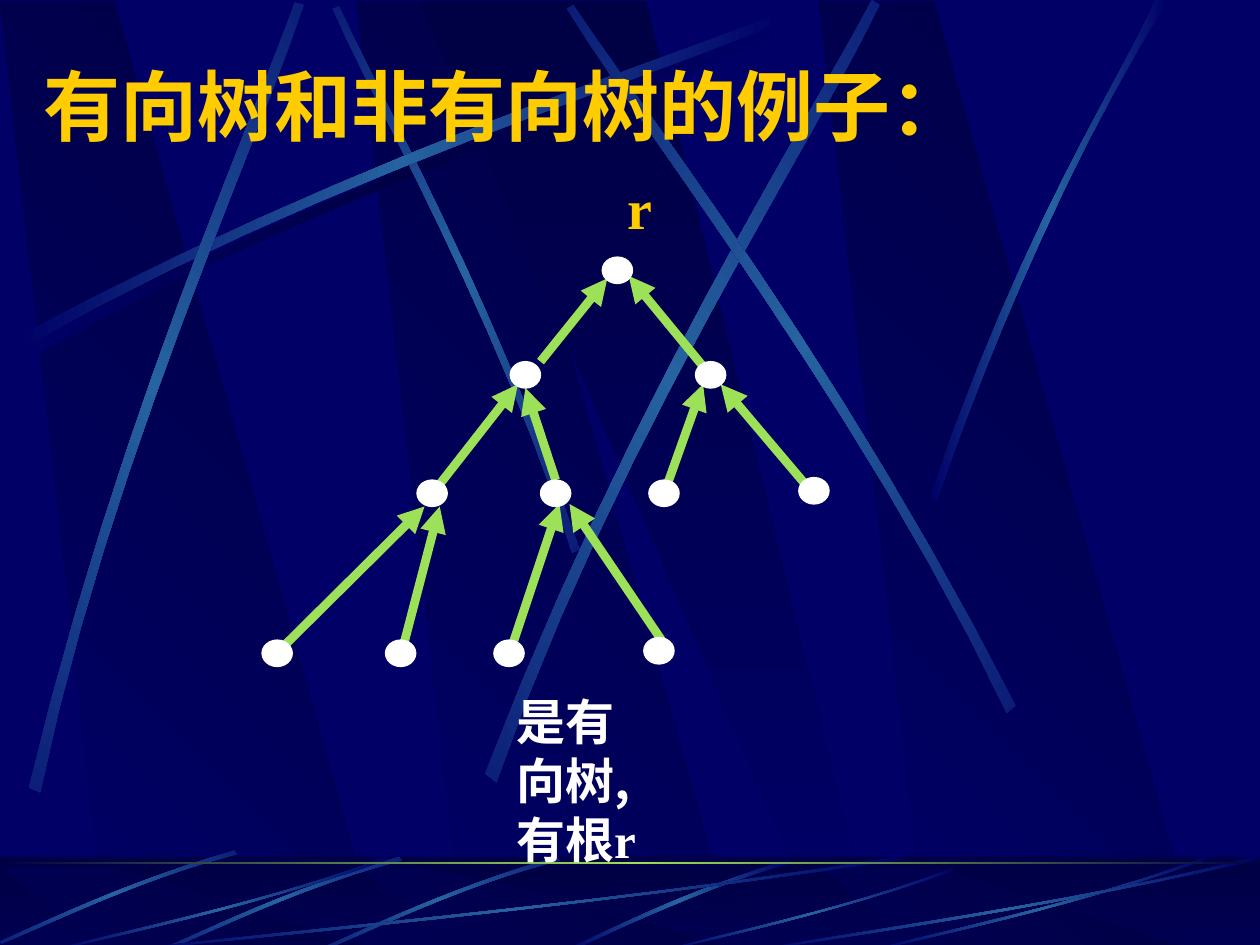
import math
from lxml import etree
from pptx import Presentation
from pptx import util as u
from pptx.dml.color import RGBColor
from pptx.enum import shapes, text
from pptx.oxml import ns

NAVY, DARK, BLUE = "000066", "000044", "2663A0"
GREEN, GOLD, WHITE = "9CE157", "FFCC00", "FFFFFF"
SERIF, SANS = "Times New Roman", "Noto Sans CJK SC"


def rgb(value):
    return RGBColor.from_string(value)


def sub(parent, tag, **attrs):
    return etree.SubElement(parent, ns.qn(tag), attrs)


def rotate(point, degrees):
    x, y = point
    c, s = math.cos(math.radians(degrees)), math.sin(math.radians(degrees))
    return x * c - y * s, x * s + y * c


def bezier(p0, p1, p2, p3, steps=12):
    """Points along a cubic curve, both ends included."""
    points = []
    for i in range(steps + 1):
        t = i / steps
        w = (1 - t) ** 3, 3 * t * (1 - t) ** 2, 3 * t * t * (1 - t), t ** 3
        points.append(tuple(sum(k * p[axis] for k, p in zip(w, (p0, p1, p2, p3)))
                            for axis in (0, 1)))
    return points


class Painter:
    """Holds the text style and the slide being drawn."""

    style = {"bold": True, "name": SERIF}

    def __init__(self, slide):
        self.slide = slide

    def gradient(self, s, colors, angle):
        """Evenly spaced linear gradient, angle clockwise."""
        s.fill.background()
        old = s._element.spPr.find(ns.qn("a:noFill"))
        grad = etree.Element(ns.qn("a:gradFill"), rotWithShape="1")
        stops = sub(grad, "a:gsLst")
        for i, color in enumerate(colors):
            stop = sub(stops, "a:gs", pos=str(100000 * i // (len(colors) - 1)))
            sub(stop, "a:srgbClr", val=color)
        sub(grad, "a:lin", ang=str(angle * 60000), scaled="0")
        old.getparent().replace(old, grad)

    def shape(self, kind, x, y, w, h, color=None, line=None):
        s = self.slide.shapes.add_shape(kind, *map(u.Inches, (x, y, w, h)))
        s.shadow.inherit = False
        if color:
            s.fill.solid()
            s.fill.fore_color.rgb = rgb(color)
        if line:
            s.line.color.rgb = rgb(line)
            s.line.width = u.Pt(0.75)
        else:
            s.line.fill.background()
        return s

    def bar(self, y, h, colors, angle):
        s = self.shape(shapes.MSO_SHAPE.RECTANGLE, 0, y, 10, h)
        self.gradient(s, colors, angle)

    def outline(self, points, colors, angle, turn=0):
        """Closed outline whose gradient axis is turned clockwise by turn."""
        flat = [rotate(p, -turn) for p in points]
        xy = [(u.Inches(x), u.Inches(y)) for x, y in flat]
        fb = self.slide.shapes.build_freeform(*xy[0])
        fb.add_line_segments(xy[1:], close=True)
        s = fb.convert_to_shape()
        if turn:
            xs, ys = zip(*flat)
            cx, cy = rotate(((min(xs) + max(xs)) / 2, (min(ys) + max(ys)) / 2), turn)
            s.left = u.Inches(cx) - s.width // 2
            s.top = u.Inches(cy) - s.height // 2
            s.rotation = turn
        s.shadow.inherit = False
        s.line.fill.background()
        self.gradient(s, colors, angle)

    def streak(self, points, turn=0, middle=BLUE):
        """Thin blade between an outer and an inner curve."""
        self.outline(bezier(*points[:4]) + bezier(*points[4:]),
                     (NAVY, middle, NAVY), 180, turn)

    def bands(self, top, bottom):
        """Three slanted bands and a wider one between them."""
        for x in (2.83, 0, 6.5):
            self.outline([(x + 0.86, bottom), (x + 3.02, bottom),
                          (x + 0.91, top), (x, top)], (DARK, NAVY), 135)
        self.outline([(3.33, top), (6.58, bottom), (6.94, bottom), (5.13, top)],
                     (DARK, NAVY), 90)

    def node(self, x, y):
        self.shape(shapes.MSO_SHAPE.OVAL, x, y, 0.24, 0.21, WHITE, WHITE)

    def arrow(self, x1, y1, x2, y2):
        s = self.slide.shapes.add_connector(
            shapes.MSO_CONNECTOR.STRAIGHT, *map(u.Inches, (x1, y1, x2, y2)))
        s.line.color.rgb = rgb(GREEN)
        s.line.width = u.Pt(5)
        sub(s.line._get_or_add_ln(), "a:tailEnd", type="triangle")
        sub(s._element.spPr, "a:effectLst")

    def text(self, box, paragraphs, size, color, wrap=True,
             anchor=text.MSO_ANCHOR.TOP):
        """Each paragraph is a list of (words, font name) runs."""
        s = self.slide.shapes.add_textbox(*map(u.Inches, box))
        tf = s.text_frame
        tf.word_wrap = wrap
        tf.vertical_anchor = anchor
        for i, runs in enumerate(paragraphs):
            p = tf.paragraphs[0] if i == 0 else tf.add_paragraph()
            for words, name in runs:
                r = p.add_run()
                r.text = words
                values = {**self.style, "name": name, "size": u.Pt(size)}
                for key, value in values.items():
                    setattr(r.font, key, value)
                r.font.color.rgb = rgb(color)
                r.font._element.find(ns.qn("a:latin")).addnext(
                    etree.Element(ns.qn("a:ea"), typeface=SANS))


SHADOW_STREAK = [(0.2, 2.75), (2.84, 1.34), (5.24, 0.59), (6.26, 0.18),
                 (6.29, 0.24), (5.28, 0.69), (2.54, 1.51), (0.23, 2.85)]
SKY_STREAKS = [
    (45, [(4.6, 4.36), (3.91, 2.34), (3.02, 0.77), (2.69, 0.05),
          (2.64, 0.07), (2.95, 0.79), (3.98, 2.58), (4.54, 4.39)]),
    (0, [(x - 0.06, y - 0.08) for x, y in SHADOW_STREAK]),
    (311.7, [(0.23, 6.25), (0.93, 3.34), (1.97, 1.05), (2.34, 0.02),
             (2.41, 0.04), (2.07, 1.09), (0.86, 3.68), (0.32, 6.29)]),
    (321.6, [(3.85, 6.14), (4.98, 3.2), (6.38, 1.02), (6.92, 0),
             (6.98, 0.04), (6.49, 1.08), (4.86, 3.55), (3.94, 6.21)]),
    (34.8, [(8.06, 5.6), (6.7, 2.93), (5.16, 0.95), (4.55, 0.04),
            (4.5, 0.07), (5.07, 1.01), (6.85, 3.25), (7.99, 5.66)]),
    (0, [(7.38, 3.94), (8.14, 1.73), (8.88, 0.66), (9.17, 0),
         (9.27, 0), (8.36, 1.45), (7.69, 3.22), (7.44, 3.97)]),
]
FLOOR_ARC = [(6.27, 6.82), (5.37, 7.09), (4.77, 7.42), (4.48, 7.54),
             (4.53, 7.55), (4.9, 7.37), (5.71, 7), (6.28, 6.85)]
TURNED_ARC = [(1.86, 0), (0.99, 0.25), (0.31, 0.59), (0, 0.72),
              (0.01, 0.74), (0.32, 0.62), (1.09, 0.23), (1.88, 0.03)]
FLOOR_BLADE = [(1, 0.04), (0.57, 0.84), (0.17, 1.27), (0, 1.5),
               (0, 1.48), (0.16, 1.22), (0.62, 0.76), (0.99, 0)]
EDGES = [
    (4.29, 2.87, 4.82, 2.21), (5.64, 2.98, 4.99, 2.19),
    (3.43, 3.92, 4.11, 3.05), (4.41, 3.81, 4.17, 3.08),
    (6.38, 3.83, 5.72, 3.05), (5.27, 3.92, 5.58, 3.05),
    (2.21, 5.17, 3.37, 4.02), (3.19, 5.17, 3.49, 4.02),
    (4.05, 5.17, 4.44, 4), (5.25, 5.08, 4.52, 4),
]
NODES = [(4.78, 2.04), (4.05, 2.87), (5.52, 2.87), (3.31, 3.81), (5.15, 3.81),
         (4.29, 3.81), (6.34, 3.79), (2.08, 5.08), (3.92, 5.08), (3.06, 5.08),
         (5.11, 5.06)]


def draw_background(d):
    d.bands(0.01, 7.52)
    d.streak(SHADOW_STREAK, middle=DARK)
    for turn, points in SKY_STREAKS:
        d.streak(points, turn)
    d.bar(6.8, 0.75, (DARK, NAVY), 90)
    d.bands(6.88, 7.55)
    veil = d.shape(shapes.MSO_SHAPE.RECTANGLE, 0, 6.8, 10, 0.75, DARK)
    sub(veil._element.spPr.find(".//" + ns.qn("a:srgbClr")), "a:alpha", val="50000")
    d.streak(FLOOR_ARC)
    for x, y in ((2.56, 6.8), (1.31, 6.8), (0, 6.75)):
        d.streak([(x + dx, y + dy) for dx, dy in TURNED_ARC], 314.9)
    for x, y, w in ((1, 6.8, 6.17), (0.42, 6.8, 2.67), (5.27, 6.89, 2.31),
                    (6.92, 6.8, 2.67), (6, 6.8, 4)):
        d.streak([(x + w * fx, y + (7.55 - y) * fy / 1.5) for fx, fy in FLOOR_BLADE])
    d.bar(6.84, 0.02, (DARK, GREEN, DARK), 180)


def main():
    prs = Presentation()
    prs.slide_width, prs.slide_height = u.Inches(10), u.Inches(7.5)
    slide = prs.slides.add_slide(prs.slide_layouts[6])
    slide.background.fill.solid()
    slide.background.fill.fore_color.rgb = rgb(NAVY)
    d = Painter(slide)
    draw_background(d)
    d.text((0.25, 0.41, 8.5, 0.84), [[("有向树和非有向树的例子：", SERIF)]], 44, GOLD,
           anchor=text.MSO_ANCHOR.MIDDLE)
    for edge in EDGES:
        d.arrow(*edge)
    for node in NODES:
        d.node(*node)
    d.text((4.88, 1.33, 0.4, 0.64), [[("r", SERIF)]], 32, GOLD, wrap=False)
    d.text((4, 5.44, 1.33, 1.5),
           [[("是有向树,", SANS)], [("有根", SANS), ("r", SERIF)]], 28, WHITE)
    prs.save("out.pptx")


if __name__ == "__main__":
    main()
